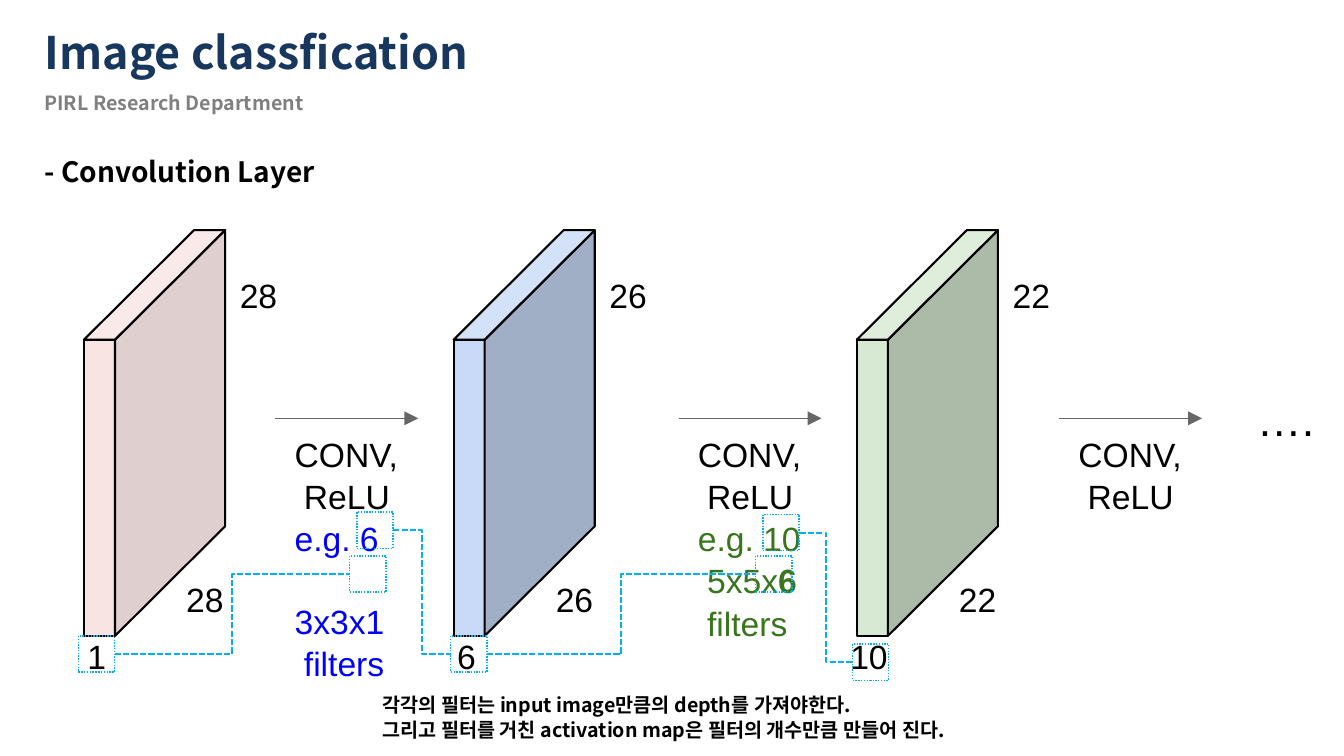
from dataclasses import dataclass

from lxml.etree import SubElement
from pptx import Presentation
from pptx.dml.color import RGBColor
from pptx.enum.dml import MSO_LINE_DASH_STYLE as Dash
from pptx.enum.shapes import MSO_CONNECTOR_TYPE as Connector, MSO_SHAPE as Preset
from pptx.enum.text import MSO_ANCHOR as Anchor, PP_ALIGN as Align
from pptx.oxml.ns import qn
from pptx.util import Inches, Pt

WIDTH, HEIGHT = 13.33, 7.5
COLUMNS, ROWS = 160, 90
TOP, LEFT, BOTTOM, RIGHT = range(4)  # connection sites of a rectangle


@dataclass(frozen=True)
class Theme:
    heading_font: str = "Noto Sans CJK KR"
    diagram_font: str = "Arial"
    navy: str = "17375E"
    gray: str = "808080"
    black: str = "000000"
    blue: str = "0000FF"
    green: str = "38751C"
    arrow: str = "666666"
    marker: str = "00B0F0"
    title_size: int = 32
    section_size: int = 20
    note_size: int = 14
    label_size: int = 24
    dots_size: int = 32
    # front, side and top face of each volume
    pink_faces: tuple = ("F4CCCC", "C3A3A3", "F6D6D6")
    blue_faces: tuple = ("C8DAF7", "A0AEC6", "D3E1F9")
    green_faces: tuple = ("D8E9D3", "ACBAA8", "DFEDDB")


THEME = Theme()


@dataclass(frozen=True)
class Box:
    left: float
    top: float
    width: float
    height: float

    def point(self, x, y):
        return Inches(self.left + x * self.width), Inches(self.top + y * self.height)

    def area(self, x, y, width, height):
        return Box(self.left + x * self.width, self.top + y * self.height,
                   width * self.width, height * self.height)

    def frame(self):
        return [Inches(side) for side in (self.left, self.top, self.width, self.height)]


def cells(left, top, width, height):
    page = Box(0, 0, WIDTH, HEIGHT)
    return page.area(left / COLUMNS, top / ROWS, width / COLUMNS, height / ROWS)


def color(value):
    return RGBColor.from_string(value)


def write(paragraph, text, size, ink, font, bold=False):
    """Fill a paragraph; \\v breaks a line and *stars* mark bold words."""
    for index, piece in enumerate(text.split("*")):
        for row, line in enumerate(piece.split("\v")):
            if row:
                paragraph.add_line_break()
            if line:
                run = paragraph.add_run()
                run.text = line
                if index % 2:
                    run.font.bold = True
    paragraph.alignment = Align.LEFT
    paragraph.font.size = Pt(size)
    paragraph.font.bold = bold
    paragraph.font.color.rgb = color(ink)
    paragraph.font.name = font
    defaults = paragraph._p.pPr.find(qn("a:defRPr"))
    SubElement(defaults, qn("a:ea")).set("typeface", font)


def set_frame(shape, inset, anchor=Anchor.TOP):
    frame = shape.text_frame
    frame.word_wrap = True
    frame.vertical_anchor = anchor
    frame.margin_left, frame.margin_right = Inches(inset), 0
    frame.margin_top = frame.margin_bottom = 0
    return frame


def add_text(slide, box, text, size=THEME.label_size, ink=THEME.black,
             font=THEME.diagram_font, bold=False, inset=0.02, anchor=Anchor.TOP):
    frame = set_frame(slide.shapes.add_textbox(*box.frame()), inset, anchor)
    write(frame.paragraphs[0], text, size, ink, font, bold)
    return frame


def add_marker(slide, left_top):
    """Dotted square around a number."""
    side = Inches(0.36)
    square = slide.shapes.add_shape(Preset.RECTANGLE, *left_top, side, side)
    square.shadow.inherit = False
    square.fill.background()
    square.line.color.rgb = color(THEME.marker)
    square.line.width = Pt(1)
    square.line.dash_style = Dash.ROUND_DOT
    return square


def add_line(slide, kind, start, end, ink, width):
    connector = slide.shapes.add_connector(kind, *start, *end)
    connector.line.color.rgb = color(ink)
    connector.line.width = Pt(width)
    SubElement(connector._element.spPr, qn("a:effectLst"))
    return connector


def add_header(slide, box):
    title = slide.shapes.title
    title.left, title.top, title.width, title.height = box.area(0, 0, 0.75, 0.37).frame()
    write(set_frame(title, 0.1).paragraphs[0], "Image classfication",
          THEME.title_size, THEME.navy, THEME.heading_font, bold=True)
    for top, text, size, ink in (
            (0.38, "PIRL Research Department", THEME.note_size, THEME.gray),
            (0.75, "- Convolution Layer", THEME.section_size, THEME.black)):
        add_text(slide, box.area(0, top, 1, 0.25), text, size, ink,
                 THEME.heading_font, bold=True, inset=0.1)


def add_volume(slide, box, faces, size, depth, depth_shift, marker_at, opacity=None):
    """Draw a slab with its three sizes; return the marker at its depth."""
    edge, slant = 0.22, 0.27
    front = [(0, slant), (edge, slant), (edge, 1), (0, 1)]
    side = [(edge, 1), (edge, slant), (1, 0), (1, 1 - slant)]
    top = [(edge, slant), (0, slant), (1 - edge, 0), (1, 0)]
    for corners, fill in zip((front, side, top), faces):
        points = [box.point(*corner) for corner in corners]
        builder = slide.shapes.build_freeform(*points[0])
        builder.add_line_segments(points[1:], close=True)
        face = builder.convert_to_shape()
        face.shadow.inherit = False
        face.fill.solid()
        face.fill.fore_color.rgb = color(fill)
        if opacity:
            tint = face._element.spPr.find(qn("a:solidFill"))[0]
            SubElement(tint, qn("a:alpha")).set("val", str(opacity * 1000))
        face.line.color.rgb = color(THEME.black)
        face.line.width = Pt(1.5)
    for left, label_top, text in ((0.71, 0.86, size), (1.09, 0.11, size),
                                  (depth_shift, 1, depth)):
        add_text(slide, box.area(left, label_top, 0.35, 0.1), text)
    return add_marker(slide, box.point(*marker_at))


def add_step(slide, box, details=(), ink=THEME.black, gap=0, markers=()):
    """Draw an arrow with its caption; return the markers on the caption."""
    arrow = add_line(slide, Connector.STRAIGHT, box.point(0, 0), box.point(1, 0),
                     THEME.arrow, 0.75)
    head = SubElement(arrow.line._get_or_add_ln(), qn("a:tailEnd"))
    for name, value in (("type", "triangle"), ("w", "lg"), ("len", "lg")):
        head.set(name, value)
    caption = add_text(slide, box.area(0.12, 0.06, 0.77, 0.94), "CONV,\v ReLU")
    for index, text in enumerate(details):
        paragraph = caption.add_paragraph()
        write(paragraph, text, THEME.label_size, ink, THEME.diagram_font)
        paragraph.space_before = Pt(gap if index else 0)
    for paragraph in caption.paragraphs:
        paragraph.line_spacing = 1.05
    return [add_marker(slide, box.point(*place)) for place in markers]


def add_link(slide, source, target):
    link = add_line(slide, Connector.ELBOW, (source.left, source.top),
                    (target.left, target.top), THEME.marker, 1.5)
    link.line.dash_style = Dash.SQUARE_DOT
    link.begin_connect(source, RIGHT)
    link.end_connect(target, LEFT)


def add_note(slide, box):
    text = ("각각의 필터는 input image만큼의 depth를 가져야한다.\v"
            "그리고 필터를 거친 activation map은 필터의 개수만큼 만들어 진다.")
    frame = add_text(slide, box, text, THEME.note_size, font=THEME.heading_font,
                     bold=True, anchor=Anchor.MIDDLE)
    frame.paragraphs[0].line_spacing = Pt(17.5)


def add_network(slide):
    def volume_box(column):
        return cells(column, 27.4, 16.8, 48.3)

    def step_box(column):
        return cells(column, 49.8, 17, 26)

    # Volumes
    image = add_volume(slide, volume_box(10), THEME.pink_faces, "28", "1",
                       0.01, (-0.04, 1), opacity=52)
    first_map = add_volume(slide, volume_box(54), THEME.blue_faces, "26", "6",
                           0.01, (-0.02, 1))
    second_map = add_volume(slide, volume_box(102), THEME.green_faces, "22", "10",
                            -0.06, (-0.03, 1.02))
    # Convolution steps
    first_count, first_depth = add_step(
        slide, step_box(32.8), ("e.g. 6", "3x3x1\v filters"), THEME.blue, gap=29,
        markers=((0.57, 0.43), (0.52, 0.63)))
    second_count, second_depth = add_step(
        slide, step_box(80.8), ("e.g. 10\v 5x5x*6*\v filters",), THEME.green,
        markers=((0.59, 0.44), (0.54, 0.63)))
    add_step(slide, step_box(126.1))
    add_text(slide, cells(149.4, 46.6, 9, 6.7), "….", THEME.dots_size)
    # Links between depths and filter counts
    for source, target in ((image, first_depth), (first_count, first_map),
                           (first_map, second_depth), (second_count, second_map)):
        add_link(slide, source, target)


def main():
    presentation = Presentation()
    presentation.slide_width, presentation.slide_height = Inches(WIDTH), Inches(HEIGHT)
    slide = presentation.slides.add_slide(presentation.slide_layouts[5])
    add_header(slide, cells(4.1, 2.9, 100, 20.7))
    add_network(slide)
    add_note(slide, cells(45.3, 82.4, 90, 5.8))
    presentation.save("out.pptx")


if __name__ == "__main__":
    main()
